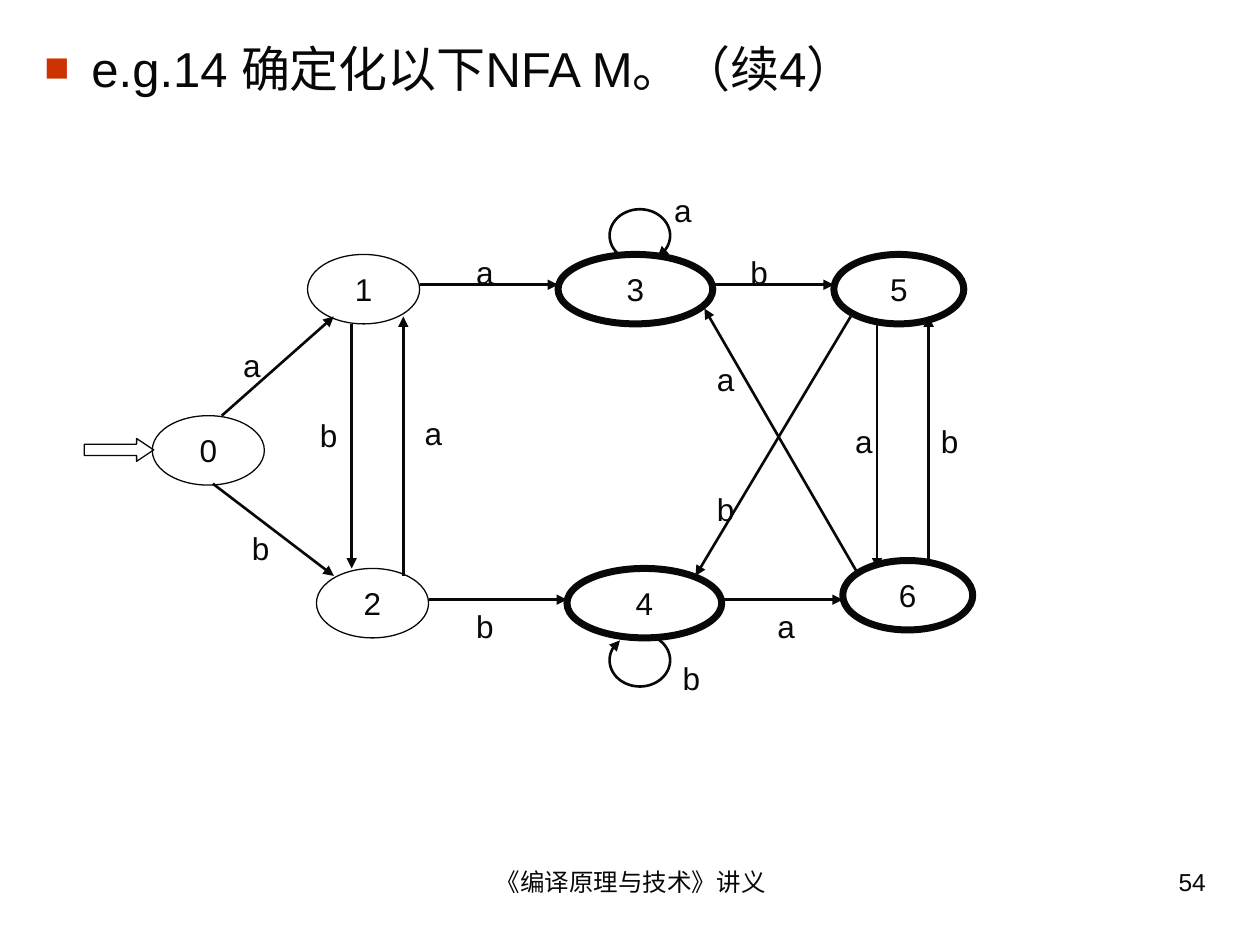
"""Build the slide showing the determinised automaton for e.g.14."""
import math
from typing import NamedTuple

import lxml.etree
import pptx
import pptx.dml.color
import pptx.enum.shapes
import pptx.enum.text
import pptx.oxml.ns
import pptx.util

Cm = pptx.util.Cm
Align = pptx.enum.text.PP_ALIGN
Anchor = pptx.enum.text.MSO_ANCHOR
Preset = pptx.enum.shapes.MSO_SHAPE
qn = pptx.oxml.ns.qn

COLORS = {"ink": "080808", "bullet": "CC3300"}
FONT = "Arial"
STATE_HEIGHT = 1.4
LABEL_SIZE = (1.4, 1.02)
LOOP_RADII = (0.61, 0.53)
LOOP_SWEEP = 281
THIN, EDGE, THICK = 0.75, 1.5, 4


class State(NamedTuple):
    name: str
    left: float
    top: float
    width: float
    accepting: bool = False


class Transition(NamedTuple):
    symbol: str
    start: tuple[float, float]
    end: tuple[float, float]
    label: tuple[float, float]


class Loop(NamedTuple):
    symbol: str
    center: tuple[float, float]
    start_angle: float
    label: tuple[float, float]


STATES = [
    State("0", 3.07, 8.38, 2.26),
    State("1", 6.2, 5.13, 2.26),
    State("2", 6.38, 11.46, 2.26),
    State("3", 11.25, 5.13, 3.12, True),
    State("4", 11.43, 11.46, 3.12, True),
    State("5", 16.81, 5.13, 2.62, True),
    State("6", 16.99, 11.3, 2.62, True),
]

TRANSITIONS = [
    Transition("a", (4.47, 8.38), (6.73, 6.38), (4.65, 6.86)),
    Transition("b", (4.29, 9.75), (6.73, 11.61), (4.83, 10.54)),
    Transition("a", (8.46, 5.74), (11.25, 5.74), (9.35, 4.98)),
    Transition("b", (14.38, 5.74), (16.81, 5.74), (14.88, 4.98)),
    Transition("b", (8.64, 12.09), (11.43, 12.09), (9.35, 12.12)),
    Transition("a", (14.55, 12.09), (16.99, 12.09), (15.42, 12.12)),
    Transition("b", (7.09, 6.53), (7.09, 11.46), (6.2, 8.26)),
    Transition("a", (8.13, 11.61), (8.13, 6.38), (8.31, 8.23)),
    Transition("a", (17.68, 6.53), (17.68, 11.46), (16.99, 8.38)),
    Transition("b", (18.72, 11.3), (18.72, 6.38), (18.72, 8.38)),
    Transition("b", (17.15, 6.38), (14.02, 11.61), (14.2, 9.75)),
    Transition("a", (17.32, 11.61), (14.2, 6.22), (14.2, 7.14)),
]

LOOPS = [
    Loop("a", (12.9, 4.75), 133, (13.34, 3.73)),
    Loop("b", (12.9, 13.31), 308, (13.51, 13.16)),
]


def rgb(name: str) -> pptx.dml.color.RGBColor:
    """Return the named colour."""
    return pptx.dml.color.RGBColor.from_string(COLORS[name])


def write_text(shape, text: str, *, size: float = 18, align=Align.LEFT,
               anchor=Anchor.TOP, wrap: bool = True):
    """Put formatted text into a shape and return its paragraph."""
    frame = shape.text_frame
    frame.auto_size = pptx.enum.text.MSO_AUTO_SIZE.NONE
    frame.word_wrap = wrap
    frame.vertical_anchor = anchor
    paragraph = frame.paragraphs[0]
    paragraph.alignment = align
    run = paragraph.add_run()
    run.text = text
    run.font.size = pptx.util.Pt(size)
    run.font.name = FONT
    run.font.color.rgb = rgb("ink")
    return paragraph


def add_text(slide, text: str, left: float, top: float, width: float,
             height: float, **text_format) -> None:
    """Add a text box measured in centimetres."""
    box = slide.shapes.add_textbox(Cm(left), Cm(top), Cm(width), Cm(height))
    write_text(box, text, **text_format)


def set_outline(shape, width: float) -> None:
    """Give a shape an ink outline of the given width."""
    shape.line.color.rgb = rgb("ink")
    shape.line.width = pptx.util.Pt(width)


def add_arrowhead(shape) -> None:
    """Put a triangle at the end of a shape's outline."""
    outline = shape.element.spPr.find(qn("a:ln"))
    lxml.etree.SubElement(outline, qn("a:tailEnd"), type="triangle")


def add_outlined(slide, preset, left: float, top: float, width: float,
                 height: float, weight: float):
    """Add an unfilled preset shape."""
    shape = slide.shapes.add_shape(preset, Cm(left), Cm(top), Cm(width), Cm(height))
    shape.shadow.inherit = False
    shape.fill.background()
    set_outline(shape, weight)
    return shape


def add_state(slide, state: State) -> None:
    """Draw a state, thick when it is accepting."""
    oval = add_outlined(slide, Preset.OVAL, state.left, state.top, state.width,
                        STATE_HEIGHT, THICK if state.accepting else THIN)
    write_text(oval, state.name, align=Align.CENTER, anchor=Anchor.MIDDLE, wrap=False)


def add_transition(slide, transition: Transition) -> None:
    """Draw a straight transition."""
    ends = [Cm(value) for value in transition.start + transition.end]
    arrow = slide.shapes.add_connector(pptx.enum.shapes.MSO_CONNECTOR.STRAIGHT, *ends)
    set_outline(arrow, EDGE)
    add_arrowhead(arrow)
    lxml.etree.SubElement(arrow.element.spPr, qn("a:effectLst"))


def add_loop(slide, loop: Loop) -> None:
    """Draw a clockwise self-transition."""
    angles = [math.radians(loop.start_angle + LOOP_SWEEP * step / 48)
              for step in range(49)]
    points = [(Cm(loop.center[0] + LOOP_RADII[0] * math.cos(angle)),
               Cm(loop.center[1] + LOOP_RADII[1] * math.sin(angle)))
              for angle in angles]
    builder = slide.shapes.build_freeform(*points[0])
    builder.add_line_segments(points[1:], close=False)
    curve = builder.convert_to_shape()
    curve.shadow.inherit = False
    curve.fill.background()
    set_outline(curve, EDGE)
    add_arrowhead(curve)


def add_heading(slide, text: str) -> None:
    """Place the title as a bulleted line."""
    title = slide.shapes.title
    title.left, title.top, title.width, title.height = map(Cm, (0.64, 0.64, 19.28, 1.7))
    paragraph = write_text(title, text, size=28)
    properties = paragraph._p.get_or_add_pPr()
    properties.set("marL", str(Cm(0.95)))
    properties.set("indent", str(Cm(-0.95)))
    color = lxml.etree.SubElement(properties, qn("a:buClr"))
    lxml.etree.SubElement(color, qn("a:srgbClr"), val=COLORS["bullet"])
    lxml.etree.SubElement(properties, qn("a:buSzPct"), val="85000")
    lxml.etree.SubElement(properties, qn("a:buFont"), typeface=FONT)
    lxml.etree.SubElement(properties, qn("a:buChar"), char="■")


def main() -> None:
    """Build and save the presentation."""
    deck = pptx.Presentation()
    deck.slide_width, deck.slide_height = Cm(25.4), Cm(19.05)
    slide = deck.slides.add_slide(deck.slide_layouts[5])
    add_text(slide, "《编译原理与技术》讲义", 8.69, 17.35, 8.05, 1.32,
             size=14, align=Align.CENTER)
    add_text(slide, "54", 18.21, 17.35, 6.35, 1.32, size=14, align=Align.RIGHT)
    add_heading(slide, "e.g.14 确定化以下NFA M。（续4）")
    for state in STATES:
        add_state(slide, state)
    entry = add_outlined(slide, Preset.RIGHT_ARROW, 1.7, 8.84, 1.4, 0.46, THIN)
    entry.adjustments[1] = 0.75
    for transition in TRANSITIONS:
        add_transition(slide, transition)
    for loop in LOOPS:
        add_loop(slide, loop)
    for edge in TRANSITIONS + LOOPS:
        add_text(slide, edge.symbol, *edge.label, *LABEL_SIZE)
    deck.save("out.pptx")


if __name__ == "__main__":
    main()
